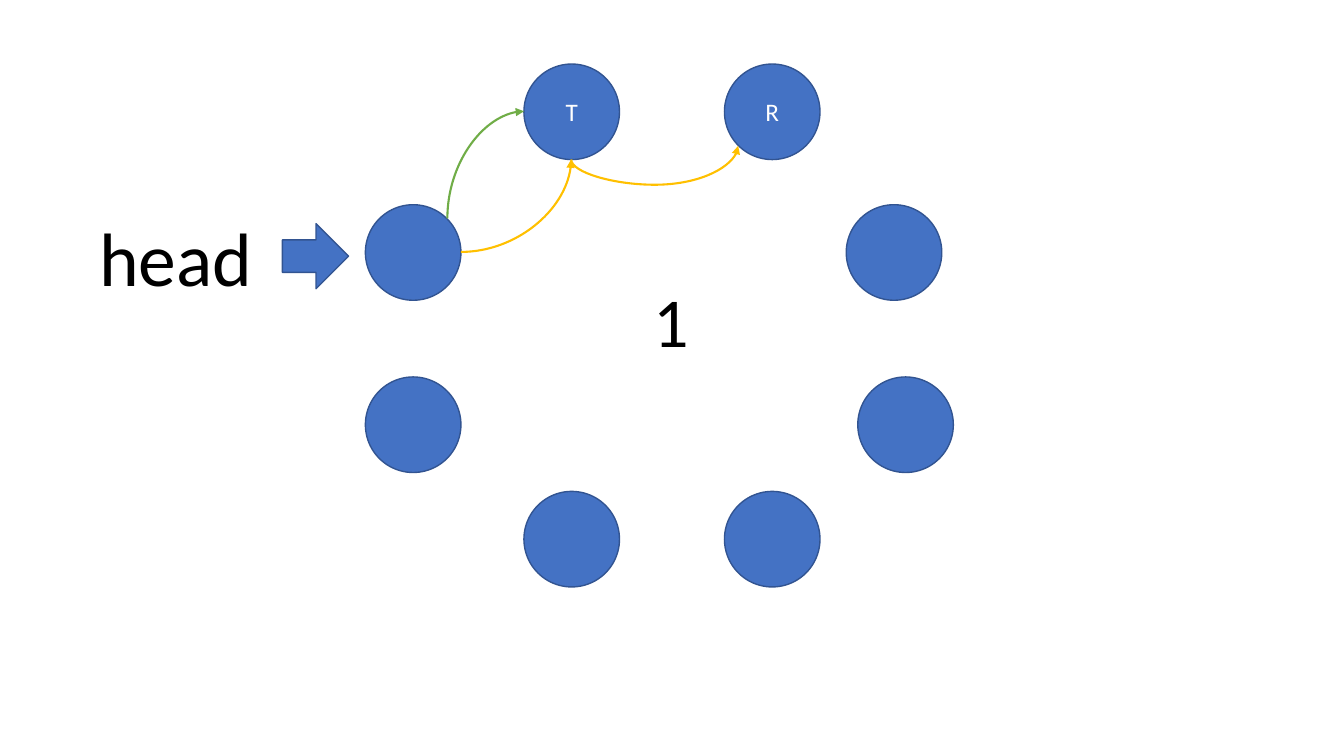
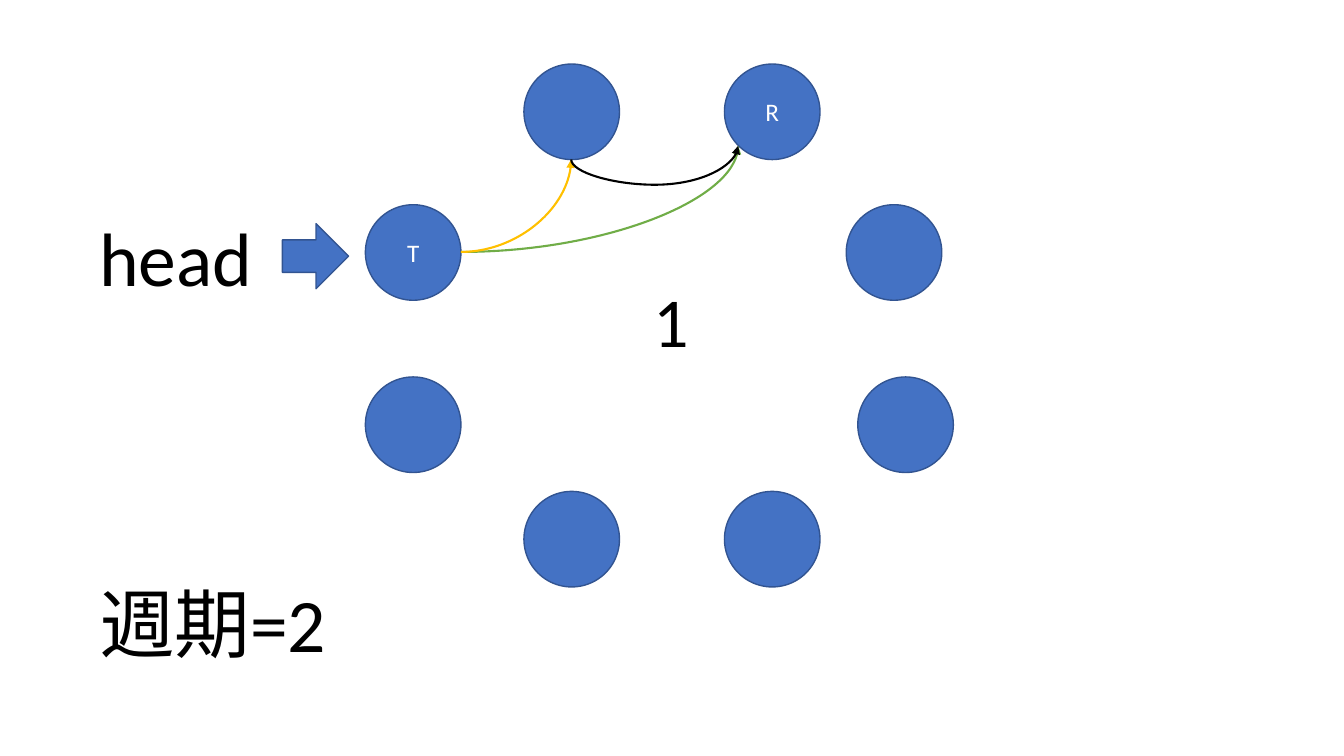
from pptx import Presentation
from pptx.dml.color import RGBColor
from pptx.enum.shapes import MSO_CONNECTOR, MSO_SHAPE
from pptx.enum.text import MSO_ANCHOR, MSO_AUTO_SIZE, PP_ALIGN
from pptx.oxml.ns import qn
from pptx.util import Pt
from lxml.etree import SubElement

PX = 9525  # EMU per px, 96 px to the inch
FONT = "Calibri"
BLUE = RGBColor(0x44, 0x72, 0xC4)
EDGE = RGBColor(0x32, 0x54, 0x91)
GOLD = RGBColor(0xFF, 0xC0, 0x00)
GREEN = RGBColor(0x70, 0xAD, 0x47)
BLACK = RGBColor(0, 0, 0)
WHITE = RGBColor(0xFF, 0xFF, 0xFF)

# Ring of nodes: left and top of each circle
NODE = 91
NODES = {
    "left low": (348, 359), "bottom left": (499, 468),
    "head": (348, 195), "top left": (499, 61),
    "top right": (690, 61), "right low": (817, 359),
    "right high": (806, 195), "bottom right": (690, 468),
}

# Points on the circles where the curves start and end
MID, NEAR, FAR = NODE // 2, 13, NODE - 13
head_x, head_y = NODES["head"]
next_x, next_y = NODES["top left"]
last_x, last_y = NODES["top right"]
HEAD_RIGHT = (head_x + NODE, head_y + MID)
HEAD_CORNER = (head_x + FAR, head_y + NEAR)
NEXT_LEFT = (next_x, next_y + MID)
NEXT_BOTTOM = (next_x + MID, next_y + NODE)
LAST_CORNER = (last_x + NEAR, last_y + FAR)


def add_text(sp, text, size=54, color=BLACK, align=PP_ALIGN.LEFT,
             anchor=MSO_ANCHOR.TOP, grow=True):
    tf = sp.text_frame
    tf.word_wrap = True
    tf.vertical_anchor = anchor
    if grow:
        tf.auto_size = MSO_AUTO_SIZE.SHAPE_TO_FIT_TEXT
    p = tf.paragraphs[0]
    p.alignment = align
    r = p.add_run()
    r.text = text
    r.font.name, r.font.size, r.font.color.rgb = FONT, Pt(size), color


def add_curve(s, begin, end, color, upright=False, dip=0):
    """Curved arrow; upright leaves vertically, dip sags below the start."""
    (x1, y1), (x2, y2) = begin, end
    if upright:  # frame before its quarter turn
        cx, cy = (x1 + x2) / 2, (y1 + y2) / 2
        dx, dy = (y1 - y2) / 2, (x2 - x1) / 2
        x1, y1, x2, y2 = cx + dx, cy + dy, cx - dx, cy - dy
    ends = [int(v * PX) for v in (x1, y1, x2, y2)]
    line = s.shapes.add_connector(MSO_CONNECTOR.CURVE, *ends)
    line.line.color.rgb, line.line.width = color, Pt(1.5)
    spPr = line._element.spPr
    if upright:
        spPr.find(qn("a:xfrm")).set("rot", "5400000")
    geom = spPr.find(qn("a:prstGeom"))
    if dip:
        adj = int(-100000 * dip / (begin[1] - end[1]))
        SubElement(geom.find(qn("a:avLst")), qn("a:gd"),
                   name="adj1", fmla=f"val {adj}")
    else:
        geom.set("prst", "curvedConnector2")
    SubElement(spPr.find(qn("a:ln")), qn("a:tailEnd"), type="triangle")
    SubElement(spPr, qn("a:effectLst"))


# What differs between the slides: node letters, texts and curves
HEAD = ("head", 54, (85, 196, 167, 97))
COUNT = ("1", 50, (613, 260, 53, 91))
PERIOD = ("週期=2", 54, (85, 545, 236, 97))
SLIDES = [
    ({"top left": "T", "top right": "R"}, [HEAD, COUNT], [
        (HEAD_RIGHT, NEXT_BOTTOM, GOLD, False, 0),
        (NEXT_BOTTOM, LAST_CORNER, GOLD, True, 24),
        (HEAD_CORNER, NEXT_LEFT, GREEN, True, 0),
    ]),
    ({"head": "T", "top right": "R"}, [HEAD, COUNT, PERIOD], [
        (HEAD_RIGHT, LAST_CORNER, GREEN, False, 0),
        (HEAD_RIGHT, NEXT_BOTTOM, GOLD, False, 0),
        (NEXT_BOTTOM, LAST_CORNER, BLACK, True, 24),
    ]),
]

prs = Presentation()
prs.slide_width, prs.slide_height = 1280 * PX, 720 * PX

for letters, texts, curves in SLIDES:
    s = prs.slides.add_slide(prs.slide_layouts[6])

    # Nodes and the block arrow at the head
    shapes = [(MSO_SHAPE.OVAL, (x, y, NODE, NODE), letters.get(name))
              for name, (x, y) in NODES.items()]
    shapes.append((MSO_SHAPE.RIGHT_ARROW, (269, 213, 63, 62), None))
    for kind, box, letter in shapes:
        sp = s.shapes.add_shape(kind, *[v * PX for v in box])
        sp.shadow.inherit = False
        sp.fill.solid()
        sp.fill.fore_color.rgb = BLUE
        sp.line.color.rgb, sp.line.width = EDGE, Pt(1)
        if letter:
            add_text(sp, letter, size=18, color=WHITE, align=PP_ALIGN.CENTER,
                     anchor=MSO_ANCHOR.MIDDLE, grow=False)

    # Free texts
    for text, size, box in texts:
        add_text(s.shapes.add_textbox(*[v * PX for v in box]), text, size=size)

    # Curved arrows
    for begin, end, color, upright, dip in curves:
        add_curve(s, begin, end, color, upright=upright, dip=dip)

prs.save("out.pptx")
